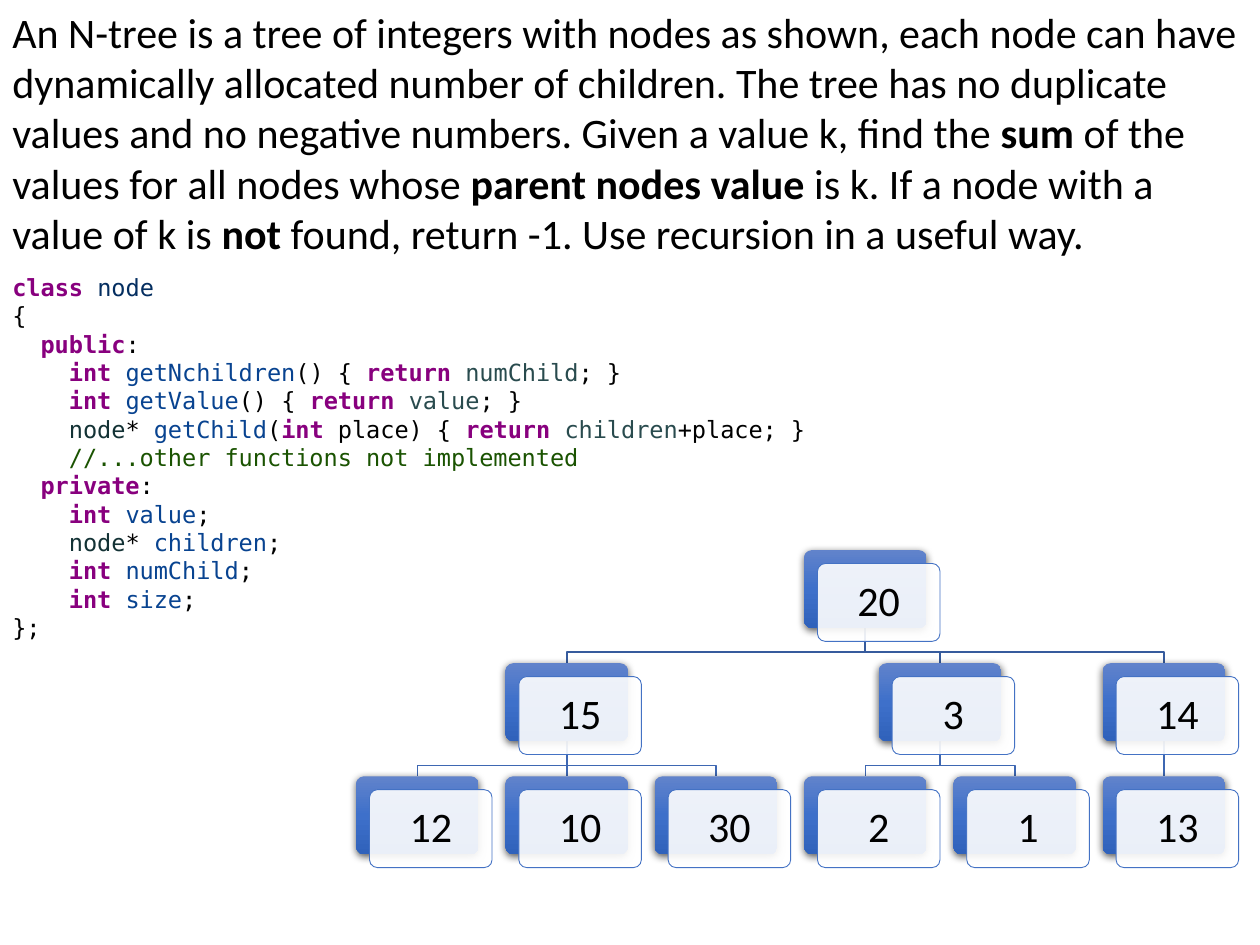
from copy import deepcopy

from lxml import etree
from pptx import Presentation
from pptx import util as u
from pptx.dml import color as dml
from pptx.enum import shapes, text
from pptx.oxml import ns

COLORS = {
    "plain": "000000", "keyword": "88007E", "class": "042E60", "name": "084390",
    "member": "294B4E", "type": "133235", "comment": "1A5301",
    "card": "FFFFFF", "outline": "4472C4",
    "top_link": "365B9D", "low_link": "3E67B2",
}
CARD_GRADIENT = [(0, "6183CB"), (0.5, "3E70CA"), (1, "3062BB")]

# Each paragraph is an indent level and its spans of (text, style).
PROBLEM = [(0, [
    ("An N-tree is a tree of integers with nodes as shown, each node can have "
     "dynamically allocated number of children. The tree has no duplicate values "
     "and no negative numbers. Given a value k, find the ", "plain"),
    ("sum", "bold"), (" of the values for all nodes whose ", "plain"),
    ("parent nodes value ", "bold"),
    ("is k. If a node with a value of k is ", "plain"), ("not", "bold"),
    (" found, return -1. Use recursion in a useful way.", "plain"),
])]


def getter(name, member):
    """Return the code line of a one-line integer getter."""
    return 2, [("int ", "keyword"), (name, "name"), ("() { ", "plain"),
               ("return ", "keyword"), (member, "member"), ("; }", "plain")]


def field(name):
    """Return the code line of an integer field."""
    return 2, [("int ", "keyword"), (name, "name"), (";", "plain")]


def access(word):
    """Return the code line of an access label."""
    return 1, [(word, "keyword"), (":", "plain")]


NODE_POINTER = [("node", "type"), ("* ", "plain")]
CODE = [
    (0, [("class ", "keyword"), ("node", "class")]),
    (0, [("{", "plain")]),
    access("public"),
    getter("getNchildren", "numChild"),
    getter("getValue", "value"),
    (2, NODE_POINTER + [("getChild", "name"), ("(", "plain"), ("int", "keyword"),
                        (" place) { ", "plain"), ("return ", "keyword"),
                        ("children", "member"), ("+place; }", "plain")]),
    (2, [("//...other functions not implemented", "comment")]),
    access("private"),
    field("value"),
    (2, NODE_POINTER + [("children", "name"), (";", "plain")]),
    field("numChild"),
    field("size"),
    (0, [("};", "plain")]),
]

# A tree node is its value and its children.
TREE = ("20", [
    ("15", [("12", []), ("10", []), ("30", [])]),
    ("3", [("2", []), ("1", [])]),
    ("14", [("13", [])]),
])
CARD_WIDTH, CARD_HEIGHT = 2.47, 1.57
COLUMN_STEP, ROW_STEP = 3.01, 2.28
CARD_SHIFT = 0.27
ELBOW_DROP = 0.49
CODE_INDENT = 0.57


def rgb(value):
    """Turn a hex string into a colour."""
    return dml.RGBColor.from_string(value)


def style_span(span, font_name, size, style="plain"):
    """Format one run of text."""
    formats = {"name": font_name, "size": u.Pt(size),
               "bold": style in ("bold", "keyword")}
    for key, value in formats.items():
        setattr(span.font, key, value)
    span.font.color.rgb = rgb(COLORS.get(style, COLORS["plain"]))


def add_text(page, box, paragraphs, font_name, size):
    """Place styled, indented paragraphs in the box (left, top, width, height)."""
    frame = page.shapes.add_textbox(*map(u.Cm, box)).text_frame
    frame.word_wrap = True
    frame.auto_size = text.MSO_AUTO_SIZE.SHAPE_TO_FIT_TEXT
    for index, (level, spans) in enumerate(paragraphs):
        para = frame.add_paragraph() if index else frame.paragraphs[0]
        if level:
            para._p.get_or_add_pPr().set("marL", str(u.Cm(CODE_INDENT * level)))
        for words, style in spans:
            span = para.add_run()
            span.text = words
            style_span(span, font_name, size, style)


def lay_out(node, row=0, first_column=0):
    """Place leaves in successive columns, parents midway over their children."""
    value, children = node
    placed, next_column = [], first_column
    for child in children:
        branch, next_column = lay_out(child, row + 1, next_column)
        placed.append(branch)
    if placed:
        column = (placed[0]["column"] + placed[-1]["column"]) / 2
    else:
        column, next_column = first_column, first_column + 1
    return {"value": value, "row": row, "column": column,
            "children": placed}, next_column


def walk(node):
    """Yield a node, then everything below it."""
    yield node
    for child in node["children"]:
        yield from walk(child)


def corner(node, left, top):
    """Return the left and top of a node's back card."""
    return left + node["column"] * COLUMN_STEP, top + node["row"] * ROW_STEP


def add_link(group, parent, child, left, top):
    """Join a parent's bottom centre to a child's top centre."""
    start_x, start_y = corner(parent, left, top)
    end_x, end_y = corner(child, left, top)
    start_x, end_x = start_x + CARD_WIDTH / 2, end_x + CARD_WIDTH / 2
    start_y += CARD_HEIGHT
    if start_x == end_x:
        ends = map(u.Cm, (start_x, start_y, end_x, end_y))
        link = group.shapes.add_connector(shapes.MSO_CONNECTOR.STRAIGHT, *ends)
        etree.SubElement(link._element.spPr, ns.qn("a:effectLst"))
    else:
        elbow_y = start_y + ELBOW_DROP
        points = [(start_x, elbow_y), (end_x, elbow_y), (end_x, end_y)]
        outline = group.shapes.build_freeform(u.Cm(start_x), u.Cm(start_y))
        outline.add_line_segments([(u.Cm(x), u.Cm(y)) for x, y in points], close=False)
        link = outline.convert_to_shape()
        link.fill.background()
        link.shadow.inherit = False
    link.line.color.rgb = rgb(COLORS["low_link" if parent["row"] else "top_link"])
    link.line.width = u.Pt(1)


def add_card(group, left, top):
    """Add one rounded card without a shadow."""
    card = group.shapes.add_shape(
        shapes.MSO_SHAPE.ROUNDED_RECTANGLE,
        *map(u.Cm, (left, top, CARD_WIDTH, CARD_HEIGHT)))
    card.adjustments[0] = 0.1
    card.shadow.inherit = False
    return card


def add_node(group, node, left, top):
    """Add a shaded back card and the translucent card that bears the value."""
    x, y = corner(node, left, top)
    back = add_card(group, x, y)
    back.line.fill.background()
    back.fill.gradient()
    back.fill.gradient_angle = 270
    stops = back._element.spPr.find(ns.qn("a:gradFill")).find(ns.qn("a:gsLst"))
    stops.insert(1, deepcopy(stops[0]))
    for stop, (position, value) in zip(back.fill.gradient_stops, CARD_GRADIENT):
        stop.position = position
        stop.color.rgb = rgb(value)
    effects = back._element.spPr.find(ns.qn("a:effectLst"))
    shadow = etree.SubElement(effects, ns.qn("a:outerShdw"), blurRad=str(u.Pt(4.5)),
                              dist=str(u.Pt(1.5)), dir="5400000", rotWithShape="0")
    black = etree.SubElement(shadow, ns.qn("a:srgbClr"), val="000000")
    etree.SubElement(black, ns.qn("a:alpha"), val="63000")

    front = add_card(group, x + CARD_SHIFT, y + CARD_SHIFT)
    front.fill.solid()
    front.fill.fore_color.rgb = rgb(COLORS["card"])
    white = front._element.spPr.find(ns.qn("a:solidFill"))[0]
    etree.SubElement(white, ns.qn("a:alpha"), val="90000")
    front.line.color.rgb = rgb(COLORS["outline"])
    front.line.width = u.Pt(0.5)
    frame = front.text_frame
    frame.vertical_anchor = text.MSO_ANCHOR.MIDDLE
    for side in ("left", "top", "right", "bottom"):
        setattr(frame, "margin_" + side, u.Cm(0.25))
    para = frame.paragraphs[0]
    para.alignment = text.PP_ALIGN.CENTER
    para.line_spacing = 0.9
    span = para.add_run()
    span.text = node["value"]
    style_span(span, "Calibri", 24)


def add_tree(page, left, top):
    """Draw the tree, links behind cards, from the given corner."""
    group = page.shapes.add_group_shape()
    nodes = list(walk(lay_out(TREE)[0]))
    for parent in nodes:
        for child in parent["children"]:
            add_link(group, parent, child, left, top)
    for node in nodes:
        add_node(group, node, left, top)


def main():
    """Build the slide and save it."""
    deck = Presentation()
    deck.slide_width, deck.slide_height = u.Cm(25.4), u.Cm(19.05)
    page = deck.slides.add_slide(deck.slide_layouts[6])
    add_tree(page, 7.18, 11.09)
    add_text(page, (0, 0, 25.4, 5.38), PROBLEM, "Calibri", 24)
    add_text(page, (0, 5.38, 16.66, 7.75), CODE, "DejaVu Sans Mono", 13.5)
    deck.save("out.pptx")


main()
